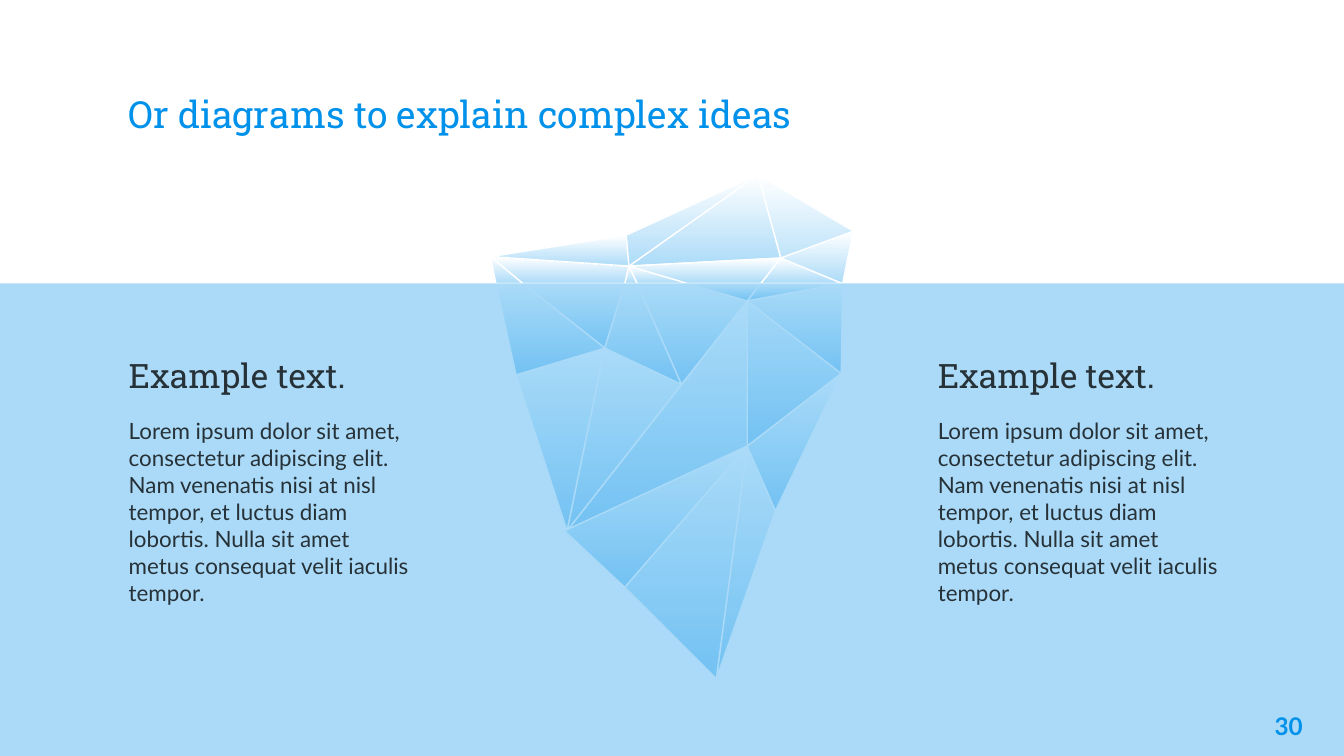
from lxml import etree
from pptx import Presentation
from pptx.dml.color import RGBColor as RGB
from pptx.enum.shapes import MSO_SHAPE as SHAPE
from pptx.enum.text import MSO_ANCHOR as ANCHOR, PP_ALIGN as ALIGN
from pptx.oxml.ns import qn
from pptx.util import Pt

PX = 9144
COLORS = {"white": "FFFFFF", "ice": "ACDBF8", "blue": "0091EA", "ink": "263238"}
BODY = ("Lorem ipsum dolor sit amet, consectetur adipiscing elit. "
        "Nam venenatis nisi at nisl tempor, et luctus diam lobortis. "
        "Nulla sit amet metus consequat velit iaculis tempor.")
HEADING = {"size": Pt(18), "name": "Roboto Slab"}
TEXT = {"size": Pt(12), "name": "Lato"}

prs = Presentation()
prs.slide_width = 1000 * PX
prs.slide_height = prs.slide_width * 9 // 16
s = prs.slides.add_slide(prs.slide_layouts[6])


def add_text(box, inset, paragraphs, color, **frame):
    tf = s.shapes.add_textbox(*[v * PX for v in box]).text_frame
    margins = {"margin_left": 10 * PX, "margin_right": 10 * PX,
               "margin_top": inset * PX, "margin_bottom": inset * PX}
    for key, value in {"word_wrap": True, **margins, **frame}.items():
        setattr(tf, key, value)
    for i, (text, font, layout) in enumerate(paragraphs):
        p = tf.add_paragraph() if i else tf.paragraphs[0]
        for key, value in layout.items():
            setattr(p, key, value)
        r = p.add_run()
        r.text = text
        for key, value in font.items():
            setattr(r.font, key, value)
        r.font.color.rgb = RGB.from_string(COLORS[color])


WATER = 211
points = {
    "A": (564, 130), "B": (635, 172), "C": (581, 192), "D": (468, 198),
    "E": (365, 191), "F": (466, 175),
    "a": (369, WATER), "b": (389, WATER), "c": (465, WATER), "d": (474, WATER),
    "e": (512, WATER), "f": (566, WATER), "g": (627, WATER),
    "m": (450, 259), "n": (507, 286), "o": (556, 224), "p": (626, 278),
    "q": (556, 332), "r": (384, 279), "s": (422, 395), "t": (420, 395),
    "u": (465, 437), "v": (577, 380), "w": (533, 505),
}
facets = ("gEb ADC ABgC Eba DcbE ADEF Cgf dDe Eba FDE BCg dDc "
          "gpqo msr cmb qvw gof ndeo nms osq bmra gop mndc "
          "tqu uwq pvq DCfe ofe").split()

iceberg = s.shapes.add_group_shape()
for facet in facets:
    start, *rest = [points[name] for name in facet]
    builder = iceberg.shapes.build_freeform(*start, scale=PX)
    builder.add_line_segments(rest, close=True)
    sp = builder.convert_to_shape()
    sp.shadow.inherit = False
    sp.fill.gradient()
    sp.fill.gradient_angle = 270
    for stop, position, color in zip(sp.fill.gradient_stops, (0, 1), ("white", "ice")):
        stop.position = position
        stop.color.rgb = RGB.from_string(COLORS[color])
    sp.line.color.rgb = RGB.from_string(COLORS["white"])
    sp.line.width = Pt(0.75)

add_text((86, 34, 828, 77), 10,
         [("Or diagrams to explain complex ideas", {**HEADING, "size": Pt(20)}, {})],
         "blue", vertical_anchor=ANCHOR.BOTTOM)

sea = s.shapes.add_shape(SHAPE.RECTANGLE, 0, WATER * PX, prs.slide_width,
                         prs.slide_height - WATER * PX)
sea.shadow.inherit = False
sea.fill.solid()
sea.fill.fore_color.rgb = RGB.from_string(COLORS["blue"])
sea.line.fill.background()
tint = sea.fill._xPr.find(qn("a:solidFill"))[0]
etree.SubElement(tint, qn("a:alpha")).set("val", "33000")

for x in (86, 688):
    add_text((x, 259, 230, 265), 5,
             [("Example text.", HEADING, {}),
              (BODY, TEXT, {"space_before": Pt(12)})], "ink")

add_text((919, 519, 60, 43), 10,
         [("30", {**TEXT, "size": Pt(13), "bold": True}, {"alignment": ALIGN.RIGHT})],
         "blue")

prs.save("out.pptx")
